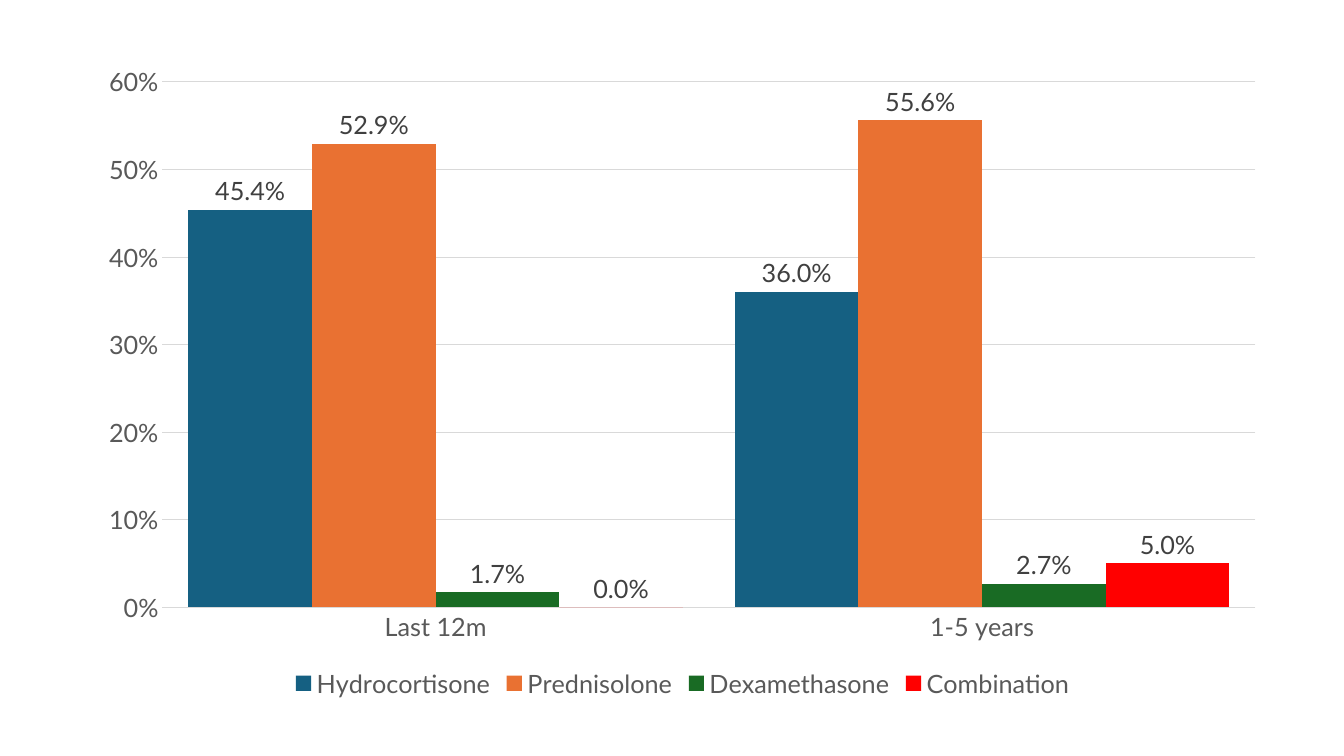
from lxml import etree
from pptx import Presentation
from pptx.chart.data import CategoryChartData
from pptx.dml.color import RGBColor
from pptx.enum.chart import XL_CHART_TYPE, XL_LABEL_POSITION, XL_LEGEND_POSITION, XL_TICK_MARK
from pptx.oxml.ns import qn
from pptx.util import Inches, Pt

COLUMN = XL_CHART_TYPE.COLUMN_CLUSTERED
ABOVE = XL_LABEL_POSITION.OUTSIDE_END
BOTTOM = XL_LEGEND_POSITION.BOTTOM
NO_TICK = XL_TICK_MARK.NONE

PERIODS = ["Last 12m", "1-5 years"]
DRUGS = [
    ("Hydrocortisone", "156082", (0.454, 0.36)),
    ("Prednisolone", "E97132", (0.529, 0.556)),
    ("Dexamethasone", "196B24", (0.017, 0.027)),
    ("Combination", "FF0000", (0, 0.05)),
]


def color(code):
    return RGBColor.from_string(code)


class Deck:
    face = "Lato"
    size = Pt(18)
    ink = "595959"
    dark = "404040"
    rule = "D9D9D9"

    def __init__(self, wide, high):
        self.file = Presentation()
        self.file.slide_width = Inches(wide)
        self.file.slide_height = Inches(high)
        self.slide = self.file.slides.add_slide(self.file.slide_layouts[6])

    def style(self, font, code):
        font.name = self.face
        font.size = self.size
        font.bold = False
        font.color.rgb = color(code)

    def axis(self, axis):
        axis.major_tick_mark = axis.minor_tick_mark = NO_TICK
        axis.format.line.fill.background()
        self.style(axis.tick_labels.font, self.ink)

    def scale(self, axis, top, step):
        self.axis(axis)
        axis.minimum_scale = 0
        axis.maximum_scale = top
        axis.major_unit = step
        axis.tick_labels.number_format = "0%"
        axis.tick_labels.number_format_is_linked = False
        line = axis.major_gridlines.format.line
        line.color.rgb = color(self.rule)
        line.width = Pt(0.75)

    def legend(self, chart):
        chart.has_legend = True
        chart.legend.position = BOTTOM
        chart.legend.include_in_layout = False
        self.style(chart.legend.font, self.ink)

    def bars(self, series, code):
        series.format.fill.solid()
        series.format.fill.fore_color.rgb = color(code)
        series.invert_if_negative = False
        labels = series.data_labels
        labels.show_value = True
        labels.position = ABOVE
        labels.number_format = "0.0%"
        labels.number_format_is_linked = False
        self.style(labels.font, self.dark)

    def place(self, chart, x, y, w, h):
        area = chart.plots[0]._element.getparent()
        for old in area.findall(qn("c:layout")):
            area.remove(old)
        layout = etree.Element(qn("c:layout"))
        area.insert(0, layout)
        manual = etree.SubElement(layout, qn("c:manualLayout"))
        parts = {"layoutTarget": "inner", "xMode": "edge", "yMode": "edge",
                 "x": x, "y": y, "w": w, "h": h}
        for name, value in parts.items():
            etree.SubElement(manual, qn("c:" + name)).set("val", str(value))

    def columns(self, x, y, w, h, names, rows):
        data = CategoryChartData(number_format="0.0%")
        data.categories = names
        for name, _, values in rows:
            data.add_series(name, values)
        frame = self.slide.shapes.add_chart(
            COLUMN, Inches(x), Inches(y), Inches(w), Inches(h), data)
        chart = frame.chart
        chart.has_title = False
        self.style(chart.font, "000000")
        plot = chart.plots[0]
        plot.gap_width = 42
        plot.overlap = 0
        plot.vary_by_categories = False
        for series, (_, code, _) in zip(plot.series, rows):
            self.bars(series, code)
        self.axis(chart.category_axis)
        self.scale(chart.value_axis, 0.6, 0.1)
        self.legend(chart)
        return chart


def main():
    deck = Deck(13.33, 7.5)
    chart = deck.columns(0.84, 0.53, 11.86, 6.45, PERIODS, DRUGS)
    deck.place(chart, 0.065, 0.044, 0.914, 0.808)
    deck.file.save("out.pptx")


if __name__ == "__main__":
    main()
